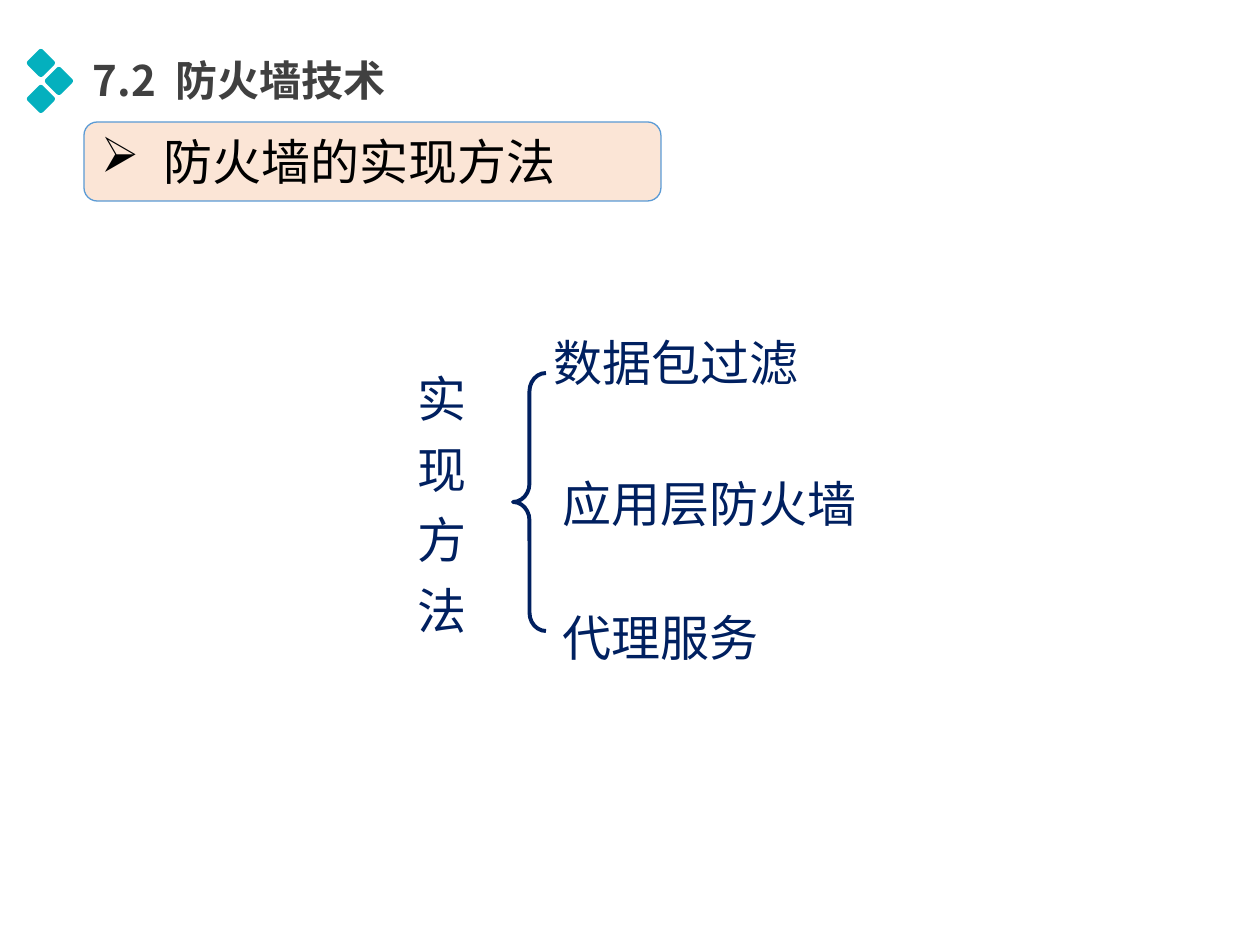
import math

import pptx
import pptx.dml.color
import pptx.enum.shapes
import pptx.enum.text
import pptx.oxml.ns
import pptx.util
from lxml import etree

PX = 914400 // 126  # EMU per px
SHAPE = pptx.enum.shapes.MSO_SHAPE
ALIGN = pptx.enum.text.PP_ALIGN
ANCHOR = pptx.enum.text.MSO_ANCHOR
AUTO = pptx.enum.text.MSO_AUTO_SIZE
CJK = "Noto Sans CJK SC"
COLORS = {
    "teal": "04B0BE",
    "title": "404040",
    "peach": "FBE5D6",
    "blue": "5B9BD5",
    "black": "000000",
    "navy": "002060",
}


def rgb(name):
    return pptx.dml.color.RGBColor.from_string(COLORS[name])


def add_xml(parent, tag, **attrs):
    return etree.SubElement(parent, pptx.oxml.ns.qn(tag), **attrs)


class Deck:
    def __init__(self, width, height):
        self.prs = pptx.Presentation()
        self.prs.slide_width = width * PX
        self.prs.slide_height = height * PX
        self.s = self.prs.slides.add_slide(self.prs.slide_layouts[6])

    def paint(self, sp, fill=None, line=None, weight=0.75):
        sp.shadow.inherit = False
        if fill:
            sp.fill.solid()
            sp.fill.fore_color.rgb = rgb(fill)
        else:
            sp.fill.background()
        if line:
            sp.line.color.rgb = rgb(line)
            sp.line.width = pptx.util.Pt(weight)
        else:
            sp.line.fill.background()

    def shape(self, kind, box, adj, **style):
        sp = self.s.shapes.add_shape(kind, *(v * PX for v in box))
        for i, value in enumerate(adj):
            sp.adjustments[i] = value
        self.paint(sp, **style)
        return sp

    def diamond(self, cx, cy, reach=14, radius=3):
        """Square on its corner, each corner rounded by a short arc."""
        tip = reach - radius
        points = []
        for corner in range(4):
            for step in range(-3, 4):
                a = math.radians(90 * corner + 15 * step)
                x = tip * math.cos(math.pi / 2 * corner) + radius * math.cos(a)
                y = tip * math.sin(math.pi / 2 * corner) + radius * math.sin(a)
                points.append((round((cx + x) * PX), round((cy + y) * PX)))
        fb = self.s.shapes.build_freeform(*points[0])
        fb.add_line_segments(points[1:], close=True)
        self.paint(fb.convert_to_shape(), fill="teal")

    def set_text(self, sp, text, size, color, font=CJK, bold=False, align=ALIGN.LEFT,
                 anchor=ANCHOR.TOP, margins=(12, 6, 12, 6), spacing=None,
                 grow=False, bullet=None, tab=None):
        tf = sp.text_frame
        tf.word_wrap = True
        tf.auto_size = AUTO.SHAPE_TO_FIT_TEXT if grow else AUTO.NONE
        tf.vertical_anchor = anchor
        tf.margin_left, tf.margin_top, tf.margin_right, tf.margin_bottom = (
            m * PX for m in margins)
        tf.text = text
        p = tf.paragraphs[0]
        p.alignment = align
        if spacing:
            p.line_spacing = spacing
        pPr = p._p.get_or_add_pPr()
        if bullet:
            pPr.set("marL", str(63 * PX))
            pPr.set("indent", str(-63 * PX))
            add_xml(pPr, "a:buChar", char=bullet)
        if tab:
            tabs = add_xml(pPr, "a:tabLst")
            add_xml(tabs, "a:tab", pos=str(tab * PX), algn="l")
        for r in p.runs:
            r.font.size = pptx.util.Pt(size)
            r.font.bold = bold
            r.font.color.rgb = rgb(color)
            r.font.name = font
            add_xml(r._r.get_or_add_rPr(), "a:ea", typeface=CJK)

    def text(self, box, text, size, color, **style):
        sp = self.s.shapes.add_textbox(*(v * PX for v in box))
        self.set_text(sp, text, size, color, **style)

    def label(self, box, text, align=ALIGN.LEFT):
        self.text(box, text, 28, "navy", align=align, anchor=ANCHOR.MIDDLE,
                  margins=(8, 0, 23, 0), spacing=1.2)


def main():
    deck = Deck(1260, 945)

    # Heading with its three diamonds
    for cx, cy in ((41, 63), (59, 81), (41, 99)):
        deck.diamond(cx, cy)
    deck.text((84, 50, 382, 60), "7.2\t防火墙技术", 24, "title", bold=True,
              margins=(9, 5, 9, 5), grow=True, tab=83)

    # Topic bar
    bar = deck.shape(SHAPE.ROUNDED_RECTANGLE, (84, 122, 577, 79), (0.167,),
                     fill="peach", line="blue")
    deck.set_text(bar, "防火墙的实现方法", 28, "black", font="Calibri",
                  margins=(13, 6, 13, 6), grow=True, bullet="➢")

    # Methods: stacked caption, brace and branches
    deck.label((410, 357, 79, 282), "实现方法", align=ALIGN.CENTER)
    deck.shape(SHAPE.LEFT_BRACE, (513, 373, 33, 258), (0.554, 0.5),
               line="navy", weight=2.25)
    for box, name in (
        ((546, 326, 393, 60), "数据包过滤"),
        ((555, 462, 427, 71), "应用层防火墙"),
        ((555, 596, 427, 71), "代理服务"),
    ):
        deck.label(box, name)

    deck.prs.save("out.pptx")


if __name__ == "__main__":
    main()
